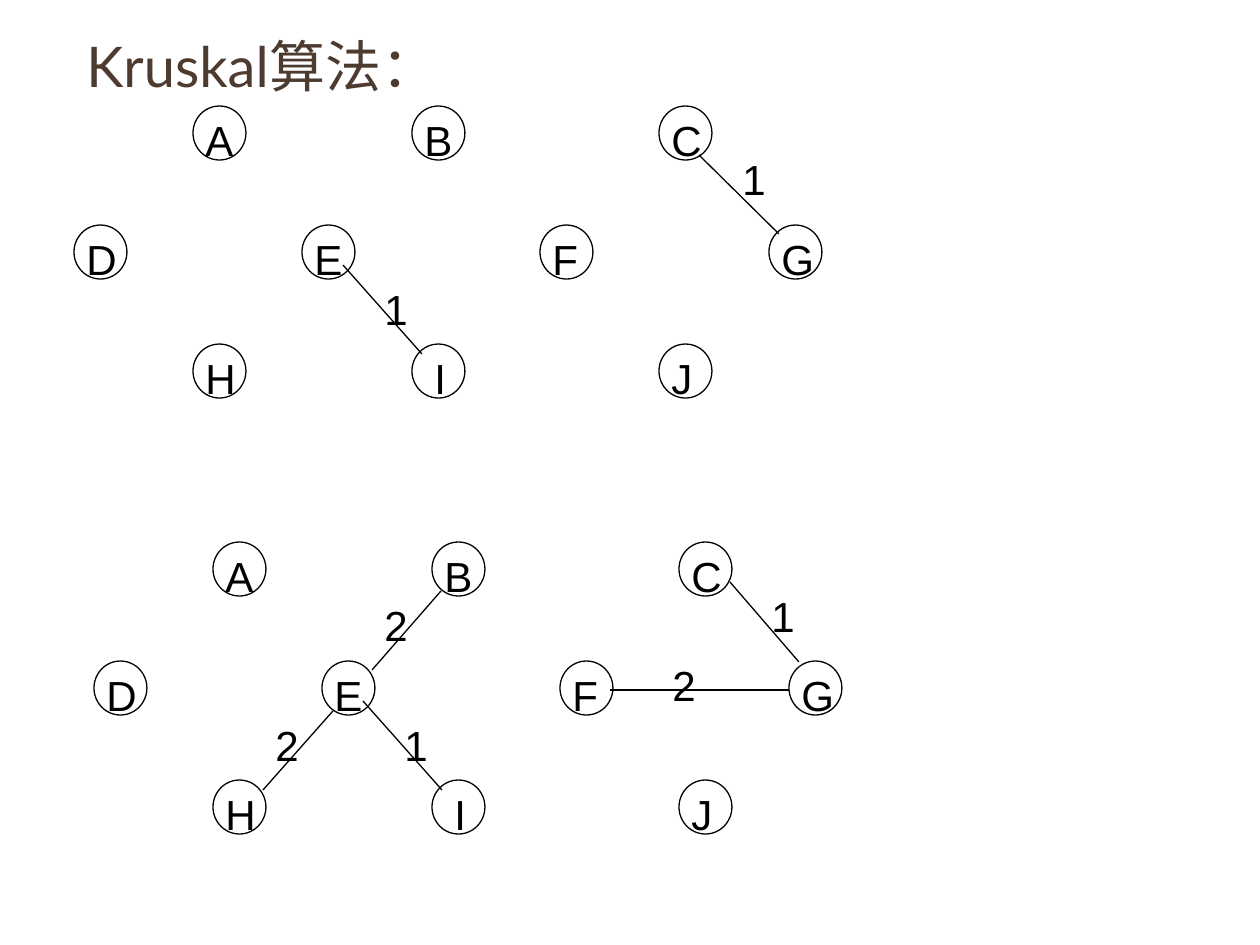
from lxml import etree
from pptx import Presentation
from pptx.dml.color import RGBColor
from pptx.enum.shapes import MSO_CONNECTOR, MSO_SHAPE
from pptx.oxml.ns import qn
from pptx.util import Pt

LINE = MSO_CONNECTOR.STRAIGHT
OVAL = MSO_SHAPE.OVAL
BLACK = RGBColor(0x00, 0x00, 0x00)
BROWN = RGBColor(0x4E, 0x3B, 0x30)
SCALE = 914400 / 126
ROW = 119
NODES = [
    ("D", 0, 1, 49), ("A", 119, 0, 59), ("H", 119, 2, 69),
    ("E", 228, 1, 49), ("B", 338, 0, 69), ("I", 338, 2, 79),
    ("F", 466, 1, 79), ("C", 585, 0, 69), ("J", 585, 2, 69),
    ("G", 695, 1, 59),
]
EDGE_EI = ("1", (269, 159), (348, 248), (298, 169, 59))
FIRST = [EDGE_EI, ("1", (625, 49), (705, 128), (656, 39, 59))]
SECOND = [
    EDGE_EI,
    ("2", (239, 169), (169, 248), (169, 169, 39)),
    ("2", (278, 128), (347, 49), (278, 49, 30)),
    ("2", (516, 148), (695, 148), (566, 109, 59)),
    ("1", (636, 40), (705, 120), (665, 40, 39)),
]


def px(*nums):
    """Turn px lengths into EMU."""
    return [round(num * SCALE) for num in nums]


def add_text(shapes, box, text, font, size, color, top):
    """Place one line of text in a box with the given top inset."""
    frame = shapes.add_textbox(*px(*box)).text_frame
    frame.word_wrap = True
    frame.margin_top, = px(top)
    run = frame.paragraphs[0].add_run()
    run.text = text
    run.font.name = font
    run.font.size = Pt(size)
    run.font.color.rgb = color


def add_label(shapes, x, y, width, text):
    """Place a node or weight label."""
    add_text(shapes, (x, y, width, 63), text, "Arial", 24, BLACK, 9)


def add_node(shapes, x, y):
    """Draw the circle of one node."""
    oval = shapes.add_shape(OVAL, *px(x, y, 53, 54))
    oval.shadow.inherit = False
    oval.fill.background()
    oval.line.color.rgb = BLACK
    oval.line.width = Pt(0.75)


def add_edge(shapes, x, y, start, end):
    """Draw one edge between two points."""
    ends = px(x + start[0], y + start[1], x + end[0], y + end[1])
    edge = shapes.add_connector(LINE, *ends)
    edge.line.color.rgb = BLACK
    edge.line.width = Pt(0.75)
    etree.SubElement(edge._element.spPr, qn("a:effectLst"))


def add_graph(slide, x, y, edges):
    """Draw the nodes and the chosen edges from a top left corner."""
    shapes = slide.shapes.add_group_shape().shapes
    for name, left, row, width in NODES:
        add_node(shapes, x + left, y + row * ROW)
    for name, left, row, width in NODES:
        shift = 10 if name == "I" else 0
        add_label(shapes, x + left + shift, y + row * ROW, width, name)
    for weight, start, end, (left, top, width) in edges:
        add_edge(shapes, x, y, start, end)
        add_label(shapes, x + left, y + top, width, weight)


def main():
    """Build and save the slide."""
    deck = Presentation()
    deck.slide_width, deck.slide_height = px(1260, 945)
    slide = deck.slides.add_slide(deck.slide_layouts[6])
    title = (74, 26, 1134, 844)
    add_text(slide.shapes, title, "Kruskal算法：", "Lato", 32, BROWN, 6)
    add_graph(slide, 74, 106, FIRST)
    add_graph(slide, 94, 542, SECOND)
    deck.save("out.pptx")


if __name__ == "__main__":
    main()
